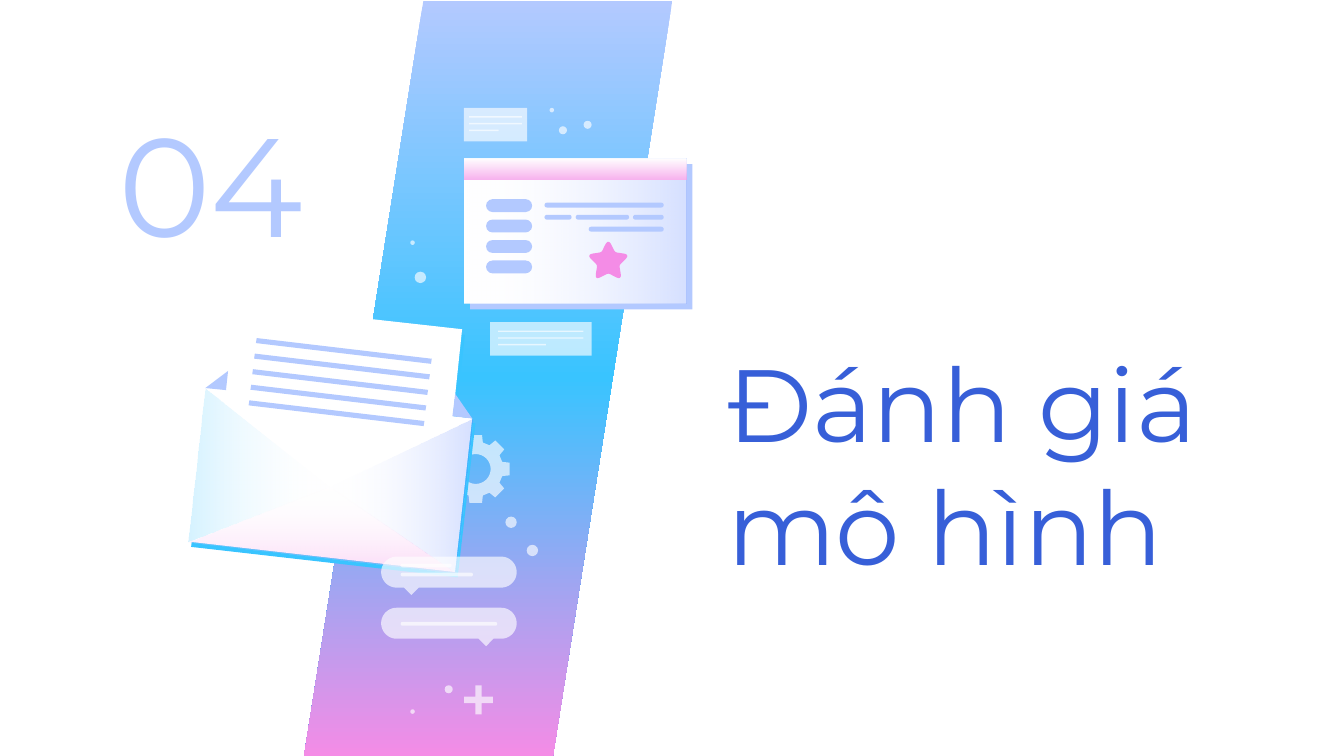
import math
from dataclasses import dataclass

import pptx
import pptx.dml.color
import pptx.enum.shapes
import pptx.enum.text
import pptx.oxml
import pptx.oxml.ns
import pptx.util

Pt = pptx.util.Pt
Kind = pptx.enum.shapes.MSO_SHAPE
Point = tuple[float, float]


@dataclass(frozen=True)
class Paint:
    stops: tuple[tuple[int, str, int], ...]
    angle: int = 0


def flat(color: str, alpha: int = 100) -> Paint:
    return Paint(((0, color, alpha),))


@dataclass(frozen=True)
class Theme:
    font: str = "Montserrat"
    title: int = 55
    number: int = 75
    ink: str = "375FD8"
    pale: str = "B3C9FF"
    sky: str = "39C4FF"
    pink: str = "F48CE6"
    deep: str = "4A77FF"
    white: str = "FFFFFF"

    def fade(self, color: str, alpha: int, angle: int, start: int = 0) -> Paint:
        return Paint(((0, self.white, start), (100, color, alpha)), angle)


@dataclass(frozen=True)
class Box:
    x: float
    y: float
    w: float
    h: float
    paint: Paint
    kind: Kind = Kind.RECTANGLE
    adjust: float | None = None


@dataclass(frozen=True)
class Form:
    paint: Paint
    loops: tuple[list[Point], ...]


theme = Theme()
PALE, SKY, PINK, WHITE = map(flat, (theme.pale, theme.sky, theme.pink, theme.white))
GLASS = flat(theme.white, 65)
SHADE = theme.fade(theme.deep, 23, 0)


def style(shape, paint: Paint) -> None:
    shape.shadow.inherit = False
    shape.line.fill.background()
    qn = pptx.oxml.ns.qn
    if len(paint.stops) == 1:
        _, color, alpha = paint.stops[0]
        shape.fill.solid()
        shape.fill.fore_color.rgb = pptx.dml.color.RGBColor.from_string(color)
        if alpha < 100:
            node = next(shape._element.spPr.iter(qn("a:srgbClr")))
            node.append(pptx.oxml.parse_xml(
                f'<a:alpha {pptx.oxml.ns.nsdecls("a")} val="{alpha * 1000}"/>'))
        return
    shape.fill.gradient()
    shape.fill.gradient_angle = -paint.angle % 360
    stops = next(shape._element.spPr.iter(qn("a:gsLst")))
    for old in list(stops):
        stops.remove(old)
    for pos, color, alpha in paint.stops:
        stops.append(pptx.oxml.parse_xml(
            f'<a:gs {pptx.oxml.ns.nsdecls("a")} pos="{pos * 1000}">'
            f'<a:srgbClr val="{color}"><a:alpha val="{alpha * 1000}"/></a:srgbClr></a:gs>'))


def draw(slide, item: Box | Form) -> None:
    if isinstance(item, Box):
        shape = slide.shapes.add_shape(
            item.kind, Pt(item.x), Pt(item.y), Pt(item.w), Pt(item.h))
        if item.adjust is not None:
            shape.adjustments[0] = item.adjust
    else:
        first, *rest = [[(Pt(x), Pt(y)) for x, y in loop] for loop in item.loops]
        build = slide.shapes.build_freeform(*first[0])
        build.add_line_segments(first[1:])
        for loop in rest:
            build.move_to(*loop[0])
            build.add_line_segments(loop[1:])
        shape = build.convert_to_shape()
    style(shape, item.paint)


def write(shape, text: str, box: tuple[float, ...], size: int, color: str, anchor) -> None:
    shape.left, shape.top, shape.width, shape.height = map(Pt, box)
    frame = shape.text_frame
    frame.text = text
    frame.word_wrap = True
    frame.auto_size = pptx.enum.text.MSO_AUTO_SIZE.NONE
    frame.vertical_anchor = anchor
    frame.margin_left = frame.margin_right = Pt(7.2)
    frame.margin_top = frame.margin_bottom = Pt(7.2)
    line = frame.paragraphs[0]
    line.alignment = pptx.enum.text.PP_ALIGN.LEFT
    line.font.name = theme.font
    line.font.size = Pt(size)
    line.font.color.rgb = pptx.dml.color.RGBColor.from_string(color)


def arc(x: float, y: float, r: float, start: int, end: int) -> list[Point]:
    turns = [math.radians(start + (end - start) * i / 32) for i in range(33)]
    return [(x + r * math.cos(t), y + r * math.sin(t)) for t in turns]


def pill(x: float, y: float, w: float, h: float, paint: Paint) -> Box:
    return Box(x, y, w, h, paint, Kind.ROUNDED_RECTANGLE, 0.5)


def dot(x: float, y: float, d: float) -> Box:
    return Box(x - d / 2, y - d / 2, d, d, GLASS, Kind.OVAL)


def gear(x: float, y: float) -> Form:
    rim = []
    for i in range(8):
        c, s = math.cos(i * math.pi / 4), math.sin(i * math.pi / 4)
        for u, v in ((14.2, -3.8), (18.2, -3.4), (18.2, 3.4), (14.2, 3.8)):
            rim.append((x + u * c - v * s, y + u * s + v * c))
    return Form(GLASS, (rim, arc(x, y, 8, 0, 360)))


def star(x: float, y: float) -> Form:
    tips = []
    for i in range(10):
        r, t = (6.2 if i % 2 else 12.3), math.radians(36 * i - 90)
        tips.append((x + r * math.cos(t), y + r * math.sin(t)))
    edge = []
    for i, tip in enumerate(tips):
        cut = 0.15 if i % 2 else 0.45
        a, b = ([p + (q - p) * cut for p, q in zip(tip, near)]
                for near in (tips[i - 1], tips[(i + 1) % 10]))
        for t in (k / 8 for k in range(9)):
            edge.append(tuple((1 - t) ** 2 * m + 2 * t * (1 - t) * n + t * t * o
                              for m, n, o in zip(a, tip, b)))
    return Form(PINK, (edge,))


def bubble(y: float, tail: float) -> Form:
    x, w, r = 204.2, 72.6, 8.3
    base = y + 2 * r
    edge = arc(x + w - r, y + r, r, -90, 90)
    edge += [(tail + 4, base), (tail, base + 4), (tail - 4, base)]
    return Form(GLASS, (edge + arc(x + r, y + r, r, 90, 270),))


def card(x: float, y: float, w: float) -> list[Box]:
    bars = [Box(x + 0.08 * w, y + 4.5 + 3.6 * i, part * w, 0.75, GLASS)
            for i, part in enumerate((0.84, 0.84, 0.47))]
    return [Box(x, y, w, 18, GLASS), *bars]


def mail() -> list[Form]:
    nw, sw, se, ne = (110, 207.9), (101, 290.2), (243.8, 306.5), (253, 224.2)
    mid = (176.4, 260.8)
    forms = [
        (SKY, [(128.2, 165.6), (122.4, 211.7), (111.6, 210.8), (102.4, 293),
               (245.2, 309.3), (254.7, 226.8), (244.1, 226.1), (249.1, 179.3)]),
        (WHITE, [nw, sw, se, ne]),
        (theme.fade(theme.sky, 21, 180), [nw, sw, mid]),
        (SHADE, [ne, mid, se]),
        (theme.fade(theme.pink, 33, 90), [mid, sw, se]),
        (WHITE, [(126.7, 162.9), (120.2, 216), mid, (242, 229.7), (247.6, 176.4)]),
        (PALE, [(122.2, 198.7), nw, (121.1, 209)]),
    ]
    for i in range(5):
        x, y = 137.5 - 0.98 * i, 181.1 + 8.34 * i
        forms.append((PALE, [(x, y), (x - 0.4, y + 2.7), (x + 93.4, y + 13.8), (x + 93.8, y + 11.1)]))
    forms.append((PALE, [(243.9, 211), (242.4, 223), ne]))
    return [Form(paint, (loop,)) for paint, loop in forms]


def window() -> list[Box | Form]:
    x, y, w, h = 248.6, 84.9, 119.2, 77.8
    rows = ((291.7, 108.6, 63.9), (315.4, 121.5, 40.2), (339.1, 115.1, 16.5),
            (308.4, 115.1, 28.6), (291.7, 115.1, 14.5))
    return [
        Box(x + 3.2, y + 3, w, h, PALE),
        Box(x, y, w, h, WHITE),
        Box(x, y, w, h, SHADE),
        Box(x, y, w, 11.5, WHITE),
        *(pill(260.4, 106.7 + 10.95 * i, 24.7, 6.9, PALE) for i in range(4)),
        *(pill(*row, 2.6, PALE) for row in rows),
        star(325.9, 140.2),
        Box(x, y, w, 11.5, theme.fade(theme.pink, 65, 90, 65)),
    ]


def main() -> None:
    deck = pptx.Presentation()
    deck.slide_width, deck.slide_height = Pt(720), Pt(405)
    slide = deck.slides.add_slide(deck.slide_layouts[5])
    anchor = pptx.enum.text.MSO_ANCHOR
    band = Paint(((0, theme.pale, 100), (50, theme.sky, 100), (100, theme.pink, 100)), 90)
    draw(slide, Box(162.9, 0.5, 197.2, 404.5, band, Kind.PARALLELOGRAM, 0.324))
    write(slide.shapes.title, "Đánh giá mô hình", (382.3, 172.8, 322.6, 148.3),
          theme.title, theme.ink, anchor.BOTTOM)
    write(slide.shapes.add_textbox(0, 0, 0, 0), "04", (56.2, 42.5, 122.4, 109.4),
          theme.number, theme.pale, anchor.MIDDLE)
    dots = ((273.8, 279.8, 6.1), (285.2, 294.9, 6.1), (314.8, 66.9, 4.3),
            (295.6, 59, 2.4), (301.6, 69.8, 4.3), (221, 130, 2.4),
            (225.2, 148.6, 6.1), (240.4, 369.3, 4.3), (221, 381.2, 2.4))
    items = [
        gear(254.9, 251.3),
        bubble(325.6, 260.4), pill(214.6, 333.2, 51.8, 2, GLASS),
        *mail(),
        bubble(298.2, 220.4), pill(214.6, 306.8, 38.8, 2, GLASS), pill(214.6, 301.9, 27.4, 2, GLASS),
        *window(),
        *card(262.6, 172.6, 54.4), *card(248.6, 57.8, 33.8),
        *(dot(*place) for place in dots),
        Box(248.6, 367.2, 15.5, 15.5, GLASS, Kind.CROSS, 0.39),
    ]
    for item in items:
        draw(slide, item)
    deck.save("out.pptx")


if __name__ == "__main__":
    main()
